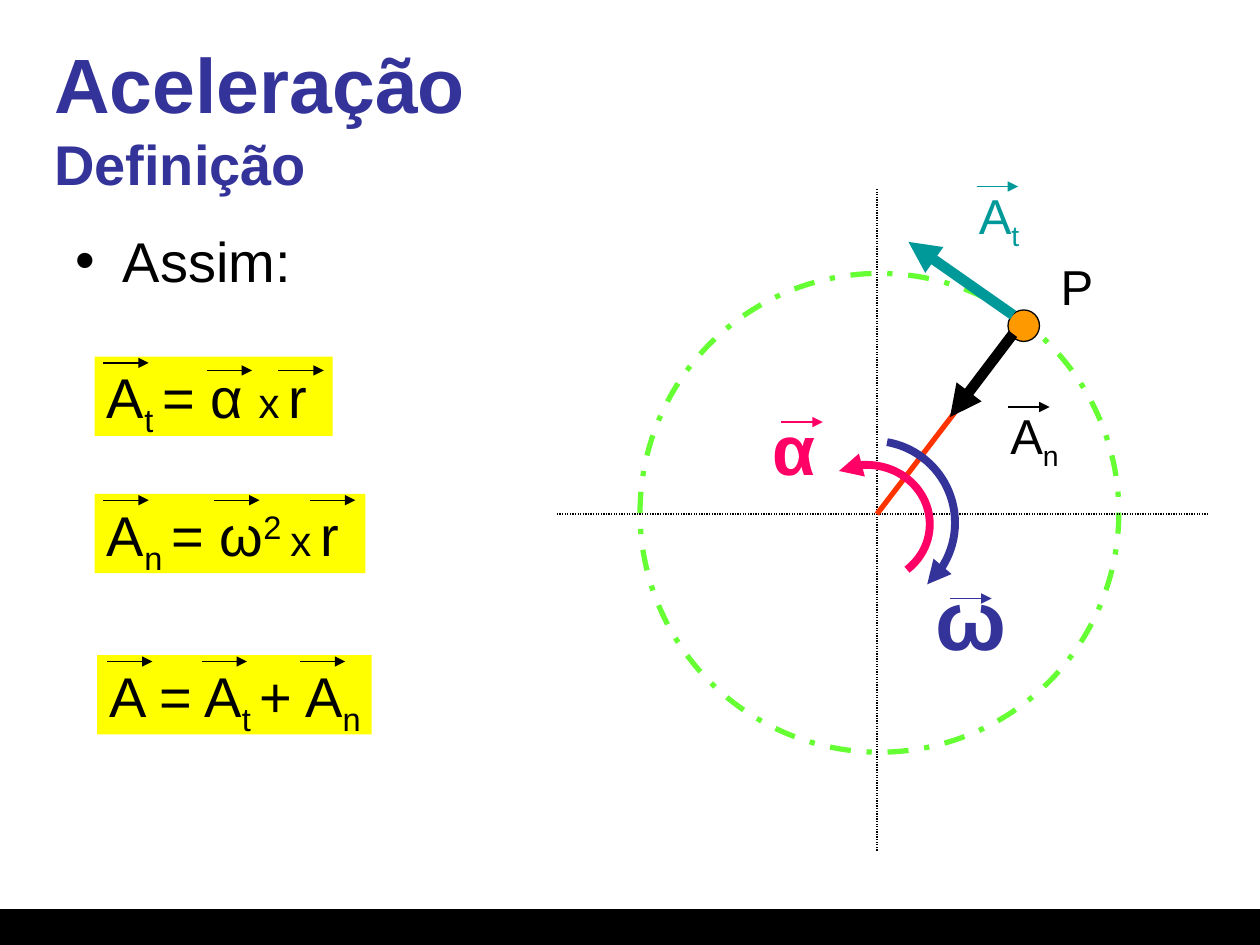
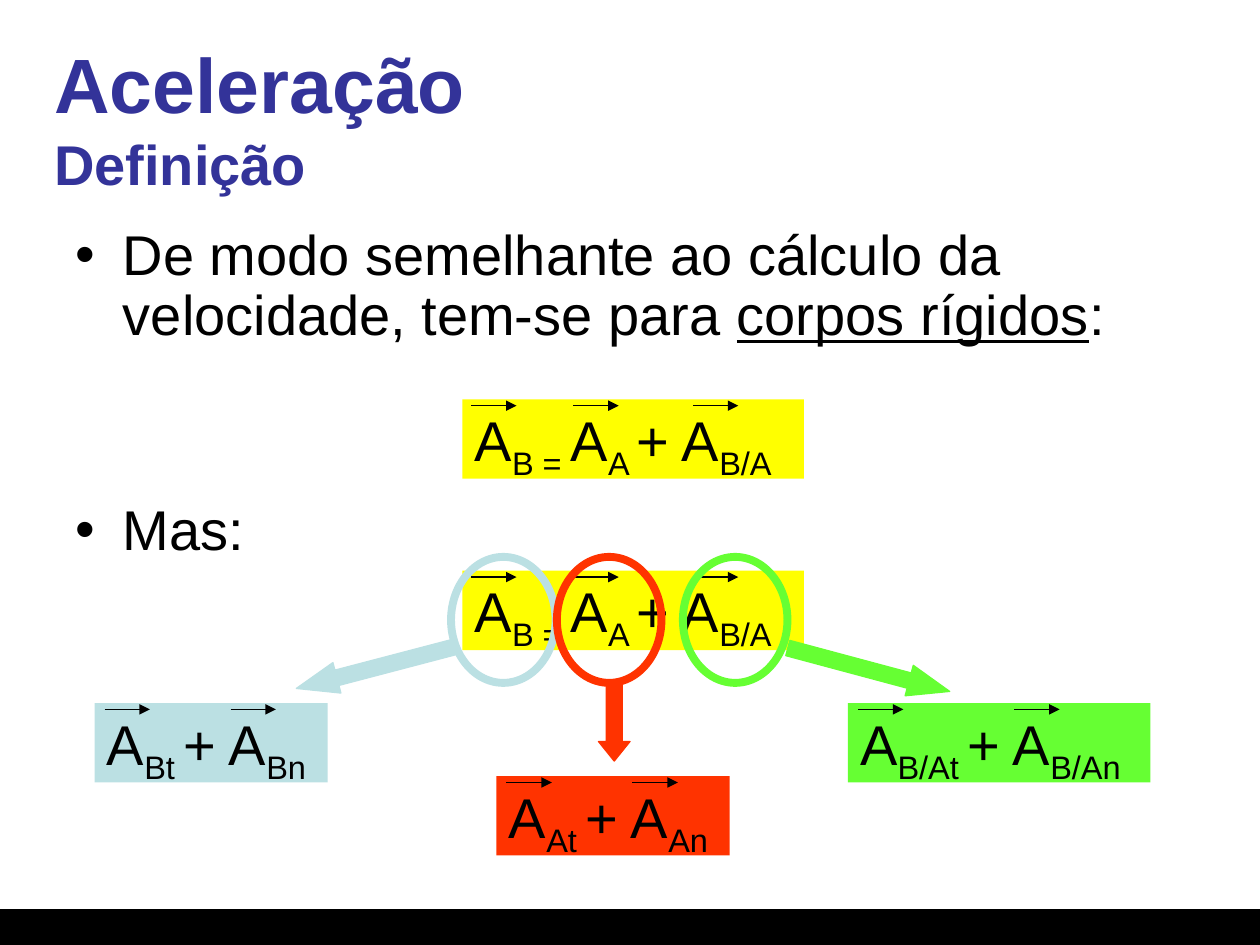
from pptx import Presentation
from pptx import util as u
from pptx.dml import color as dml
from pptx.enum import dml as line, shapes as kinds, text as txt
from pptx.oxml import ns
from lxml import etree

THEME = {
    "font": "Arial",
    "ink": "000000", "title": "333399", "yellow": "FFFF00", "lime": "66FF33",
    "orange": "FF9900", "red": "FF3300", "pink": "FF0066", "teal": "009999",
    "pale": "BBE0E3",
    "head": 44, "text": 32, "label": 28, "times": 24, "alpha": 40, "omega": 48,
    "thin": 0.75, "mid": 3, "bold": 4.5, "thick": 6,
}
SUB, SUP = -25, 30
TITLE = [("Aceleração", "head"), ("Definição", "text")]
TITLE_BOX = (0.33, 0.3, 9.33, 1.25)
BODY_LEFT, BODY_TOP, BODY_WIDTH = 0.5, 1.75, 8.83
BAND = (0, 7.22, 10, 0.28)
BOX_HIGH, VECTOR = 0.63, 0.36
RISE = 0.05

ASSIM = [{"runs": [("Assim:", False)], "gap": 7, "lead": 1}]
RIGID = [
    {"runs": [("De modo semelhante ao cálculo da velocidade, tem-se para ", False),
              ("corpos rígidos", True), (":", False)], "gap": 7, "lead": 0.9},
    {"runs": [("Mas:", False)], "gap": 88, "lead": 0.9},
]

LAWS = [
    {"at": (0.75, 3.92), "wide": 2.15, "fill": "yellow",
     "runs": [("A",), ("n ", SUB), ("= ω",), ("2 ", SUP), ("x", 0, "times"),
              (" ", SUB), ("r",)],
     "tops": [(0.07, RISE), (0.95, RISE), (1.71, RISE)]},
    {"at": (0.75, 2.83), "wide": 1.89, "fill": "yellow",
     "runs": [("A",), ("t ", SUB), ("= α ",), ("x", 0, "times"), (" ", SUB), ("r",)],
     "tops": [(0.07, RISE), (0.89, 0.11), (1.46, 0.11)]},
    {"at": (0.77, 5.2), "wide": 2.18, "fill": "yellow",
     "runs": [("A = A",), ("t ", SUB), ("+ A",), ("n", SUB)],
     "tops": [(0.08, RISE), (0.83, RISE), (1.61, RISE)]},
]
SUM_RUNS = [("A",), ("B = ", SUB), ("A",), ("A ", SUB), ("+ A",), ("B/A", SUB)]
SUMS = [
    {"at": (3.67, top), "wide": 2.71, "fill": "yellow", "runs": SUM_RUNS,
     "tops": [(0.07, RISE), (0.88, RISE), (1.83, RISE)]}
    for top in (3.17, 4.53)
]
PARTS = [
    {"at": (0.75, 5.58), "wide": 1.85, "fill": "pale", "mark": "B", "next": 1.08,
     "ring": 3.58, "arrow": (2.87, 4.63, 0.25, 1.33), "turn": 75.3},
    {"at": (6.73, 5.58), "wide": 2.4, "fill": "lime", "mark": "B/A", "next": 1.32,
     "ring": 5.42, "arrow": (6.77, 4.65, 0.25, 1.33), "turn": 285},
    {"at": (3.94, 6.16), "wide": 1.85, "fill": "red", "mark": "A", "next": 1.08,
     "ring": 4.42, "arrow": (4.75, 5.42, 0.25, 0.62), "turn": 0},
]
RING_TOP, RING_SIZE = 4.42, (0.83, 1)

ORBIT = (5.08, 2.17, 3.8, 3.8)
AXES = [((4.42, 4.08), (9.58, 4.08)), ((6.96, 1.5), (6.96, 6.75))]
POINT = (8, 2.46, 0.25, 0.25)
RADIUS = ((6.96, 4.08), (8.04, 2.67))
FORCES = [((8.04, 2.65), (7.54, 3.31), "ink"), ((8.04, 2.5), (7.21, 1.92), "teal")]
ARCS = [
    {"box": (6.28, 3.5, 1.3, 1.3), "span": (279.8, 48.7), "ink": "title", "tip": "tailEnd"},
    {"box": (6.38, 3.69, 1, 0.94), "span": (242.4, 48.6), "ink": "pink", "tip": "headEnd"},
]
LABELS = [
    {"box": (7.33, 4.45, 0.66, 0.9), "runs": [("ω",)], "size": "omega",
     "ink": "title", "bold": True, "top": (7.54, 4.75)},
    {"box": (6.03, 3.17, 0.55, 0.77), "runs": [("α",)], "size": "alpha",
     "ink": "pink", "bold": True, "top": (6.2, 3.35)},
    {"box": (8.32, 1.99, 0.46, 0.57), "runs": [("P",)], "size": "label",
     "ink": "ink", "bold": False, "top": None},
    {"box": (7.92, 3.17, 0.61, 0.57), "runs": [("A",), ("n", SUB)], "size": "label",
     "ink": "ink", "bold": False, "top": (8, 3.23)},
    {"box": (7.67, 1.42, 0.62, 0.57), "runs": [("A",), ("t", SUB)], "size": "label",
     "ink": "teal", "bold": False, "top": (7.75, 1.48)},
]


def put(item, values):
    for name, value in values.items():
        setattr(item, name, value)


def rgb(name):
    return dml.RGBColor.from_string(THEME[name])


def place(item, box):
    put(item, dict(zip(("left", "top", "width", "height"), map(u.Inches, box))))


def style(run, size, ink="ink", base=0, **more):
    put(run.font, {"name": THEME["font"], "size": u.Pt(THEME[size]), **more})
    run.font.color.rgb = rgb(ink)
    if base:
        run.font._element.set("baseline", str(base * 1000))


def stroke(item, ink, width, dash=None, tip=None):
    item.line.color.rgb = rgb(ink)
    item.line.width = u.Pt(THEME[width])
    if dash:
        item.line.dash_style = dash
    if tip:
        ln = item.line._get_or_add_ln()
        etree.SubElement(ln, ns.qn("a:" + tip), type="triangle")


def shape(slide, kind, box, fill=None, ink=None, width="thin", dash=None, tip=None):
    item = slide.shapes.add_shape(kind, *map(u.Inches, box))
    item.shadow.inherit = False
    if fill:
        item.fill.solid()
        item.fill.fore_color.rgb = rgb(fill)
    else:
        item.fill.background()
    if ink:
        stroke(item, ink, width, dash, tip)
    else:
        item.line.fill.background()
    return item


def link(slide, start, end, ink="ink", width="thin", dash=None, tip=None):
    item = slide.shapes.add_connector(
        kinds.MSO_CONNECTOR.STRAIGHT, *map(u.Inches, (*start, *end)))
    etree.SubElement(item.element.spPr, ns.qn("a:effectLst"))
    stroke(item, ink, width, dash, tip)
    ln = item.line._get_or_add_ln()
    ln.getparent().insert(ln.getparent().index(ln) + 1,
                          item.element.spPr.find(ns.qn("a:effectLst")))


def vector(slide, left, top, size=VECTOR, ink="ink"):
    link(slide, (left, top), (left + size, top), ink, tip="tailEnd")


def write(item, runs, size, ink="ink", bold=False):
    put(item.text_frame, {"word_wrap": True, "margin_right": 0,
                          "vertical_anchor": txt.MSO_ANCHOR.TOP})
    para = item.text_frame.paragraphs[0]
    para.alignment = txt.PP_ALIGN.LEFT
    for words, base, scale in ((*run, 0, size)[:3] if len(run) == 1
                               else (*run, size)[:3] for run in runs):
        run = para.add_run()
        run.text = words
        style(run, scale, ink, base, bold=bold)


def formula(slide, law):
    left, top = law["at"]
    box = shape(slide, kinds.MSO_SHAPE.RECTANGLE,
                (left, top, law["wide"], BOX_HIGH), law["fill"])
    write(box, law["runs"], "text")
    for right, down in law["tops"]:
        vector(slide, left + right, top + down)


def split(slide, part):
    mark = part["mark"]
    runs = [("A",), (mark + "t ", SUB), ("+ A",), (mark + "n", SUB)]
    tops = [(0.08, RISE), (part["next"], RISE)]
    formula(slide, {**part, "runs": runs, "tops": tops})
    shape(slide, kinds.MSO_SHAPE.OVAL, (part["ring"], RING_TOP, *RING_SIZE),
          ink=part["fill"], width="bold")
    arrow = shape(slide, kinds.MSO_SHAPE.DOWN_ARROW, part["arrow"],
                  part["fill"], part["fill"])
    arrow.rotation = part["turn"]
    arrow.adjustments[0] = 0.5
    arrow.adjustments[1] = part["arrow"][3] / 4 / part["arrow"][2]


def start(deck, points, high):
    slide = deck.slides.add_slide(deck.slide_layouts[1])
    title, body = slide.placeholders
    place(title, TITLE_BOX)
    title.text_frame.vertical_anchor = txt.MSO_ANCHOR.MIDDLE
    para = title.text_frame.paragraphs[0]
    para.alignment = txt.PP_ALIGN.LEFT
    for row, (words, size) in enumerate(TITLE):
        if row:
            para.add_line_break()
        run = para.add_run()
        run.text = words
        style(run, size, "title", bold=True)
    place(body, (BODY_LEFT, BODY_TOP, BODY_WIDTH, high))
    for frame in (title.text_frame, body.text_frame):
        put(frame, {"auto_size": txt.MSO_AUTO_SIZE.NONE, "word_wrap": True})
    for row, point in enumerate(points):
        frame = body.text_frame
        para = frame.add_paragraph() if row else frame.paragraphs[0]
        put(para, {"space_before": u.Pt(point["gap"]), "line_spacing": point["lead"]})
        for words, under in point["runs"]:
            run = para.add_run()
            run.text = words
            style(run, "text", underline=under)
    return slide


def orbit(slide):
    dash = line.MSO_LINE
    oval = kinds.MSO_SHAPE.OVAL
    shape(slide, oval, ORBIT, ink="lime", width="mid", dash=dash.DASH_DOT)
    for ends in AXES:
        link(slide, *ends, dash=dash.ROUND_DOT)
    shape(slide, oval, POINT, "orange", "ink")
    link(slide, *RADIUS, "red", "mid")
    for arc in ARCS:
        item = shape(slide, kinds.MSO_SHAPE.ARC, arc["box"], ink=arc["ink"],
                     width="bold", tip=arc["tip"])
        for spot, angle in enumerate(arc["span"]):
            item.adjustments[spot] = angle * 0.6
    for begin, end, ink in FORCES:
        link(slide, begin, end, ink, "thick", tip="tailEnd")
    for label in LABELS:
        item = slide.shapes.add_textbox(*map(u.Inches, label["box"]))
        write(item, label["runs"], label["size"], label["ink"], label["bold"])
        if label["top"]:
            vector(slide, *label["top"], 0.33, label["ink"])


def main():
    deck = Presentation()
    put(deck, {"slide_width": u.Inches(10), "slide_height": u.Inches(7.5)})

    first = start(deck, ASSIM, 0.75)
    band = shape(first, kinds.MSO_SHAPE.RECTANGLE, BAND, "ink", "ink")
    first.slide_layout.shapes.element.append(band.element)
    for law in LAWS:
        formula(first, law)
    orbit(first)

    second = start(deck, RIGID, 3.02)
    for law in SUMS:
        formula(second, law)
    for part in PARTS:
        split(second, part)

    deck.save("out.pptx")


if __name__ == "__main__":
    main()
